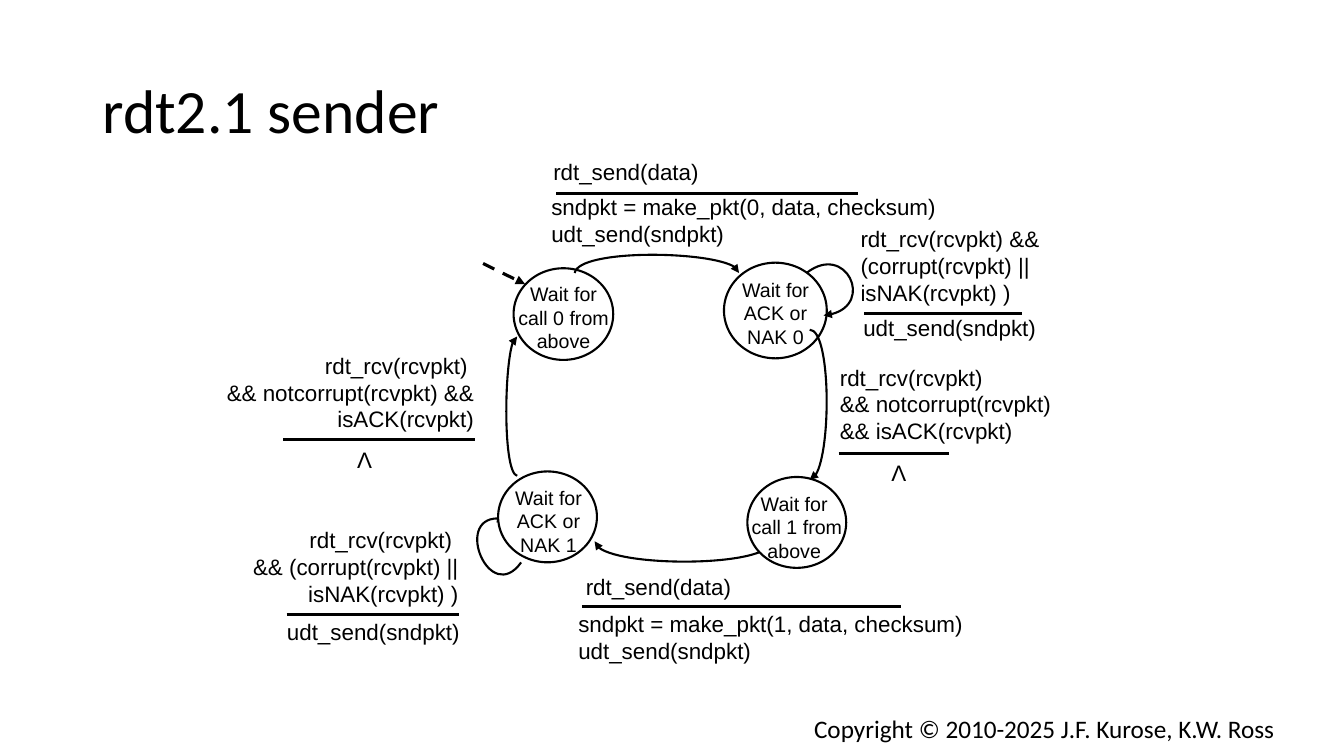
from math import cos, radians, sin

from lxml.etree import SubElement
from pptx import Presentation
from pptx.dml.color import RGBColor
from pptx.enum.dml import MSO_LINE_DASH_STYLE as Dash
from pptx.enum.shapes import MSO_CONNECTOR as Connector, MSO_SHAPE as Shape
from pptx.enum.text import MSO_ANCHOR as Anchor, PP_ALIGN as Align
from pptx.oxml.ns import qn
from pptx.util import Cm, Pt

BLACK = RGBColor(0, 0, 0)
WHITE = RGBColor(255, 255, 255)
HEAD, TAIL = "a:headEnd", "a:tailEnd"

# Content: boxes are (left, top, width, height) in centimetres
TITLE = ("rdt2.1 sender", (2.33, 1.02, 29.21, 3.68))
COPYRIGHT = ("Copyright © 2010-2025 J.F. Kurose, K.W. Ross", (20.26, 17.84, 12.45, 1.02))
INITIAL_ARROW = (12.17, 6.64, 13.23, 7.16)

# Each state: label lines, circle, label box
TOP_STATES = [
    (["Wait for call 0 from above"], (12.94, 6.76, 2.51, 2.31), (12.69, 6.98, 3.02, 1.7)),
    (["Wait for ACK or NAK 0"], (18.24, 6.62, 2.59, 2.41), (18.03, 6.87, 3.02, 1.8)),
]
BOTTOM_STATES = [
    (["Wait for", " call 1 from above"], (18.83, 12.02, 2.49, 2.29), (18.46, 12.27, 3.1, 1.7)),
    (["Wait for ACK or NAK 1"], (12.55, 11.88, 2.49, 2.29), (12.37, 12.11, 2.9, 1.7)),
]

# Each transition: event lines, box, alignment; action lines, box;
# bar (left, right, y); curve (start, two control points, end), rotation, arrow
SEND_AND_LOOPS = [
    (["rdt_send(data)"], (13.69, 3.87, 5.87, 0.84), Align.LEFT,
     ["sndpkt = make_pkt(0, data, checksum)", "udt_send(sndpkt)"],
     (13.64, 4.75, 10.26, 1.12), (14.02, 21.62, 4.88),
     [(14.48, 6.88), (14.58, 6.27), (18.62, 6.32), (18.62, 6.88)], 0, TAIL),
    (["rdt_rcv(rcvpkt) && (corrupt(rcvpkt) ||", "isNAK(rcvpkt) )"],
     (21.43, 5.56, 8.84, 1.57), Align.LEFT,
     ["udt_send(sndpkt)"], (21.5, 7.8, 6.27, 1.12), (21.77, 25.76, 7.9),
     [(20.32, 6.88), (21.31, 6.1), (22.12, 7.82), (20.75, 7.95)], 337.4, TAIL),
    (["rdt_send(data)"], (14.51, 14.33, 6.63, 0.79), Align.LEFT,
     ["sndpkt = make_pkt(1, data, checksum)", "udt_send(sndpkt)"],
     (14.32, 15.26, 10.46, 1.12), (14.66, 22.71, 15.29),
     [(14.98, 13.64), (15.06, 14.33), (19.43, 14.27), (19.43, 13.64)], 0, HEAD),
    (["rdt_rcv(rcvpkt) ", "&& (corrupt(rcvpkt) ||", "isNAK(rcvpkt) )"],
     (5.17, 13.13, 6.63, 1.57), Align.RIGHT,
     ["udt_send(sndpkt)"], (6.98, 15.46, 5.05, 0.76), (7.22, 11.56, 15.48),
     [(13.13, 14.17), (12.34, 15.27), (11.33, 12.83), (12.73, 13.08)], 243.5, TAIL),
]
ACKNOWLEDGED = [
    (["rdt_rcv(rcvpkt)", "&& notcorrupt(rcvpkt)", "&& isACK(rcvpkt)"],
     (20.91, 9.04, 8.33, 1.57), Align.LEFT,
     ["Λ"], (22.2, 11.45, 0.89, 0.94), (21.13, 23.9, 11.43),
     [(20.4, 12.09), (20.96, 12.01), (20.93, 8.31), (20.4, 8.31)], 90, HEAD),
    (["rdt_rcv(rcvpkt) ", "&& notcorrupt(rcvpkt) && isACK(rcvpkt)"],
     (2.13, 8.74, 10.06, 1.57), Align.RIGHT,
     ["Λ"], (8.74, 11.11, 0.89, 0.94), (7.14, 11.96, 11.07),
     [(13.03, 11.99), (12.67, 11.91), (12.7, 8.48), (13.03, 8.48)], 270, TAIL),
]

TITLE_FONT = {"name": "Calibri", "size": Pt(44)}
FOOTER_FONT = {"name": "Calibri", "size": Pt(18)}
STATE_FONT = {"name": "Arial", "size": Pt(14)}
CODE_FONT = {"name": "Arial", "size": Pt(16)}

deck = Presentation()
deck.slide_width, deck.slide_height = Cm(33.86), Cm(19.05)
slide = deck.slides.add_slide(deck.slide_layouts[6])
shapes = slide.shapes


def add_text(lines, box, font, align=Align.LEFT, anchor=Anchor.TOP, wrap=True, spacing=None):
    frame = shapes.add_textbox(*map(Cm, box)).text_frame
    frame.word_wrap, frame.vertical_anchor = wrap, anchor
    for number, line in enumerate(lines):
        paragraph = frame.add_paragraph() if number else frame.paragraphs[0]
        paragraph.alignment, paragraph.line_spacing = align, spacing
        run = paragraph.add_run()
        run.text = line
        for attribute, value in font.items():
            setattr(run.font, attribute, value)
        run.font.color.rgb = BLACK


def style_line(line, width, arrow=None):
    line.color.rgb, line.width = BLACK, Pt(width)
    if arrow:
        SubElement(line._get_or_add_ln(), qn(arrow), type="triangle")


def add_straight(x1, y1, x2, y2):
    straight = shapes.add_connector(Connector.STRAIGHT, *map(Cm, (x1, y1, x2, y2)))
    SubElement(straight._element.spPr, qn("a:effectLst"))
    return straight


def turn(point, degrees):
    x, y = point
    c, s = cos(radians(degrees)), sin(radians(degrees))
    return x * c - y * s, x * s + y * c


def add_curve(controls, rotation, arrow):
    """Draw one cubic curve in a frame that is turned by the rotation."""
    level = [tuple(map(Cm, turn(point, -rotation))) for point in controls]
    builder = shapes.build_freeform(*level[0])
    builder.add_line_segments(level[1:], close=False)
    curve = builder.convert_to_shape()

    # Join the three control points into one curve segment
    outline = next(curve._element.iter(qn("a:path")))
    segments = outline.findall(qn("a:lnTo"))
    bezier = SubElement(outline, qn("a:cubicBezTo"))
    for segment in segments:
        bezier.append(segment[0])
        outline.remove(segment)

    # Turn the frame about its own centre
    middle = (curve.left + curve.width / 2, curve.top + curve.height / 2)
    x, y = turn(middle, rotation)
    curve.left, curve.top = int(x - curve.width / 2), int(y - curve.height / 2)
    curve.rotation = rotation
    curve.shadow.inherit = False
    curve.fill.background()
    style_line(curve.line, 1.5, arrow)


def add_states(states):
    for label, circle_box, label_box in states:
        circle = shapes.add_shape(Shape.OVAL, *map(Cm, circle_box))
        circle.shadow.inherit = False
        circle.fill.solid()
        circle.fill.fore_color.rgb = WHITE
        style_line(circle.line, 1.5)
        add_text(label, label_box, STATE_FONT, Align.CENTER)


def add_transitions(transitions):
    for (event, event_box, align, action, action_box,
         (left, right, y), controls, rotation, arrow) in transitions:
        add_curve(controls, rotation, arrow)
        add_text(event, event_box, CODE_FONT, align)
        style_line(add_straight(left, y, right, y).line, 2.25)
        empty = action == ["Λ"]
        add_text(action, action_box, CODE_FONT,
                 Align.CENTER if empty else Align.LEFT, wrap=not empty)


# Title
add_text([TITLE[0]], TITLE[1], TITLE_FONT, anchor=Anchor.MIDDLE, spacing=0.9)

# State machine, from back to front
add_states(TOP_STATES)
initial = add_straight(*INITIAL_ARROW)
initial.line.dash_style = Dash.DASH
style_line(initial.line, 2.25, TAIL)
add_transitions(SEND_AND_LOOPS)
add_states(BOTTOM_STATES)
add_transitions(ACKNOWLEDGED)

# Copyright line
add_text([COPYRIGHT[0]], COPYRIGHT[1], FOOTER_FONT)

deck.save("out.pptx")
